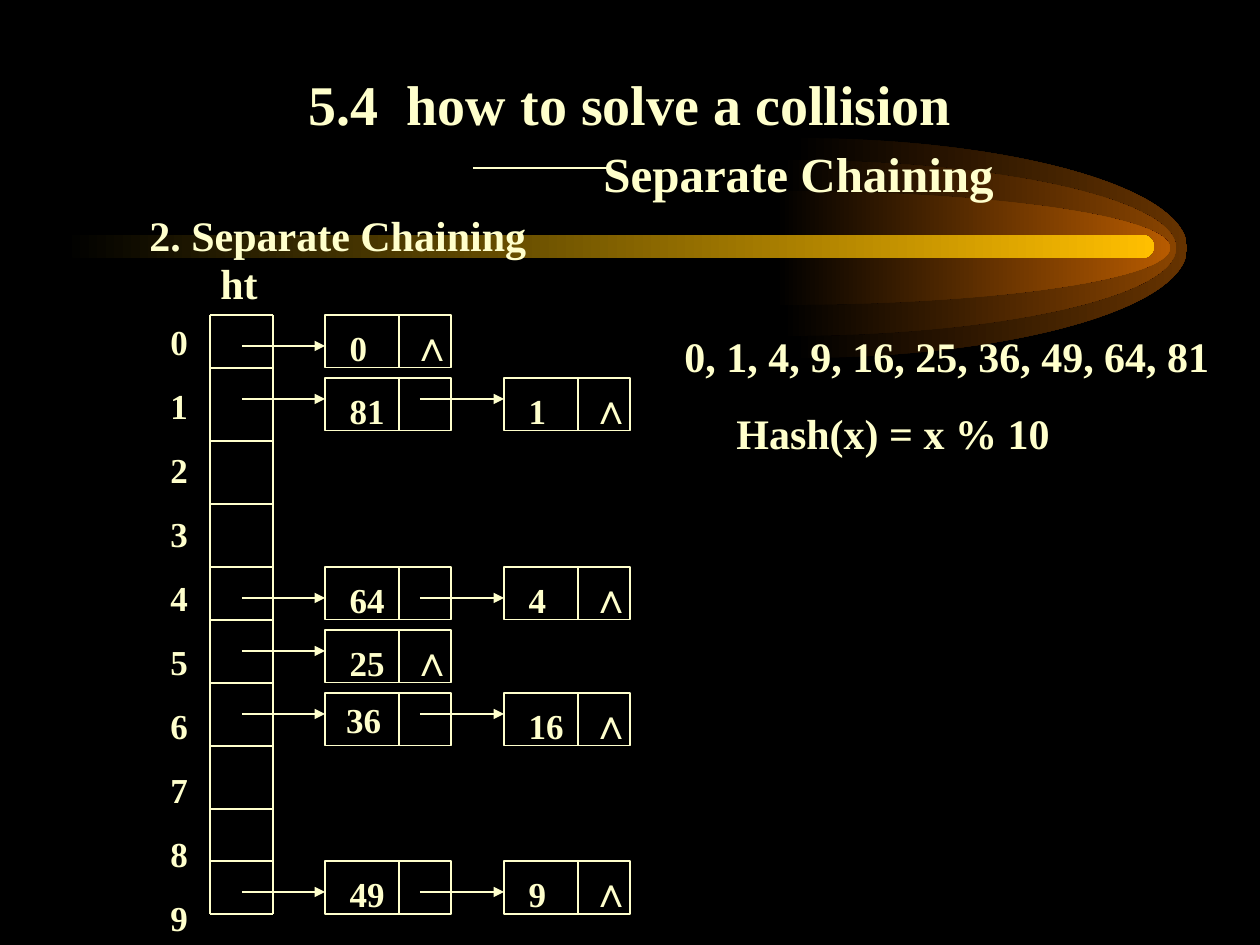
from lxml import etree
from pptx import Presentation
from pptx import util as u
from pptx.dml.color import RGBColor
from pptx.enum import shapes, text
from pptx.oxml.ns import qn

PX = 914400 / 126
BLACK = RGBColor(0, 0, 0)
CREAM = RGBColor(0xFF, 0xFF, 0xCC)
GOLD = RGBColor(0xFF, 0xBF, 0x00)
SERIF, SANS = "Times New Roman", "Arial"
THIN = u.Pt(0.7)
BEND = 0.55  # control point distance for a quarter ellipse

# Comet tail: left, centre y, half width, half height, colour
GLOWS = [
    (793, 248, 394, 110, RGBColor(0x66, 0x33, 0x00)),
    (782, 248, 394, 88, RGBColor(0x89, 0x44, 0x00)),
    (776, 248, 394, 57, RGBColor(0xB7, 0x5B, 0x00)),
]
BAR = (63, 235, 1091, 23)

# Text boxes: box, top and bottom inset, then
# paragraphs of (words, size, space before, indent)
TITLE = (95, 53, 1071, 157), (6, 8), [
    ("5.4  how to solve a collision", 32, 0, 0),
    ("Separate Chaining", 28, 3.5, 336),
]
NOTES = [
    ((95, 189, 1071, 724), (20, 6), [("2. Separate Chaining", 24, 0, 42)]),
    ((208, 252, 63, 63), (6, 6), [("ht", 24, 0, 0)]),
    ((158, 315, 42, 630), (6, 6),
     [(str(n), 20, 12.5 if n else 0, 0) for n in range(10)]),
    ((672, 325, 567, 140), (6, 6), [
        ("0, 1, 4, 9, 16, 25, 36, 49, 64, 81", 24, 0, 0),
        ("Hash(x) = x % 10", 24, 15, 52),
    ]),
]
RULE = (473, 168, 609, 168)

# Hash table: column edges, row edges, then chains of (box top, arrow y, keys)
SIDES = (210, 273)
ROWS = [315, 368, 441, 504, 567, 620, 683, 746, 809, 861, 914]
CHAINS = [
    (315, 346, ["0"]),
    (378, 399, ["81", "1"]),
    (567, 598, ["64", "4"]),
    (630, 651, ["25"]),
    (693, 714, ["36", "16"]),
    (861, 892, ["49", "9"]),
]
NODES = (325, 504)
STARTS = (242, 420)
NODE_W, NODE_H, SPLIT = 126, 53, 74
TIGHT = {"36"}  # keys set with a smaller lead space

deck = Presentation()
deck.slide_width, deck.slide_height = u.Inches(10), u.Inches(7.5)
slide = deck.slides.add_slide(deck.slide_layouts[6])
slide.background.fill.solid()
slide.background.fill.fore_color.rgb = BLACK


def emu(*vals):
    return [round(v * PX) for v in vals]


def glow(shape, color):
    """Fade a shape from black on the left to color on the right."""
    shape.shadow.inherit = False
    shape.line.fill.background()
    shape.fill.gradient()
    shape.fill.gradient_angle = 0
    for stop, tone in zip(shape.fill.gradient_stops, (BLACK, color)):
        stop.color.rgb = tone


def dome(x, y, w, h):
    """Draw the right half of an ellipse as two Bezier curves."""
    pts = [(x + BEND * w, y - h), (x + w, y - BEND * h), (x + w, y),
           (x + w, y + BEND * h), (x + BEND * w, y + h), (x, y + h)]
    pen = slide.shapes.build_freeform(*emu(x, y - h), scale=1.0)
    pen.add_line_segments([emu(*p) for p in pts], close=True)
    shape = pen.convert_to_shape()
    legs = list(shape._element.iter(qn("a:lnTo")))
    for trio in (legs[:3], legs[3:6]):
        curve = etree.Element(qn("a:cubicBezTo"))
        trio[0].addprevious(curve)
        for leg in trio:
            curve.append(leg[0])
            leg.getparent().remove(leg)
    return shape


def line(x1, y1, x2, y2, arrow=False):
    link = slide.shapes.add_connector(
        shapes.MSO_CONNECTOR.STRAIGHT, *emu(x1, y1, x2, y2))
    link.line.color.rgb = CREAM
    link.line.width = THIN
    if arrow:
        etree.SubElement(link.line._get_or_add_ln(), qn("a:tailEnd"),
                         type="triangle")
    etree.SubElement(link._element.spPr, qn("a:effectLst"))


def add_run(para, words, size, face=SERIF):
    run = para.add_run()
    run.text = words
    run.font.size, run.font.name, run.font.bold = u.Pt(size), face, True
    run.font.color.rgb = CREAM


def setup(frame, wrap, top, bottom):
    frame.word_wrap = wrap
    frame.margin_left = frame.margin_right = u.Inches(0.1)
    frame.margin_top, frame.margin_bottom = emu(top, bottom)


def label(box, pad, paras, align=text.PP_ALIGN.LEFT,
          anchor=text.MSO_ANCHOR.TOP):
    frame = slide.shapes.add_textbox(*emu(*box)).text_frame
    setup(frame, True, *pad)
    frame.vertical_anchor = anchor
    for i, (words, size, gap, indent) in enumerate(paras):
        para = frame.add_paragraph() if i else frame.paragraphs[0]
        para.alignment = align
        para.space_before = u.Pt(gap)
        if indent:
            para._p.get_or_add_pPr().set("marL", str(emu(indent)[0]))
        add_run(para, words, size)


def node(x, y, key, last):
    """Draw one list node; the last of a chain shows a null mark."""
    box = slide.shapes.add_shape(
        shapes.MSO_SHAPE.RECTANGLE, *emu(x, y, NODE_W, NODE_H))
    box.shadow.inherit = False
    box.fill.background()
    box.line.color.rgb = CREAM
    box.line.width = THIN
    frame = box.text_frame
    setup(frame, False, 6, 6)
    frame.vertical_anchor = text.MSO_ANCHOR.MIDDLE
    para = frame.paragraphs[0]
    para.alignment = text.PP_ALIGN.LEFT
    add_run(para, " ", 20 if key in TIGHT else 28)
    add_run(para, key, 20)
    if last:
        tabs = etree.SubElement(para._p.get_or_add_pPr(), qn("a:tabLst"))
        etree.SubElement(tabs, qn("a:tab"), pos=str(emu(SPLIT)[0]), algn="l")
        add_run(para, "\t∧", 24, SANS)
    line(x + SPLIT, y, x + SPLIT, y + NODE_H)


for *place, color in GLOWS:
    glow(dome(*place), color)
bar = slide.shapes.add_shape(
    shapes.MSO_SHAPE.ROUNDED_RECTANGLE, *emu(*BAR))
bar.adjustments[0] = 0.5
glow(bar, GOLD)

label(*TITLE, text.PP_ALIGN.CENTER, text.MSO_ANCHOR.BOTTOM)
for note in NOTES:
    label(*note)
line(*RULE)

for x in SIDES:
    line(x, ROWS[0], x, ROWS[-1])
for y in ROWS:
    line(SIDES[0], y, SIDES[1], y)
for top, mid, keys in CHAINS:
    for i, key in enumerate(keys):
        node(NODES[i], top, key, i == len(keys) - 1)
        line(STARTS[i], mid, NODES[i], mid, arrow=True)

deck.save("out.pptx")
